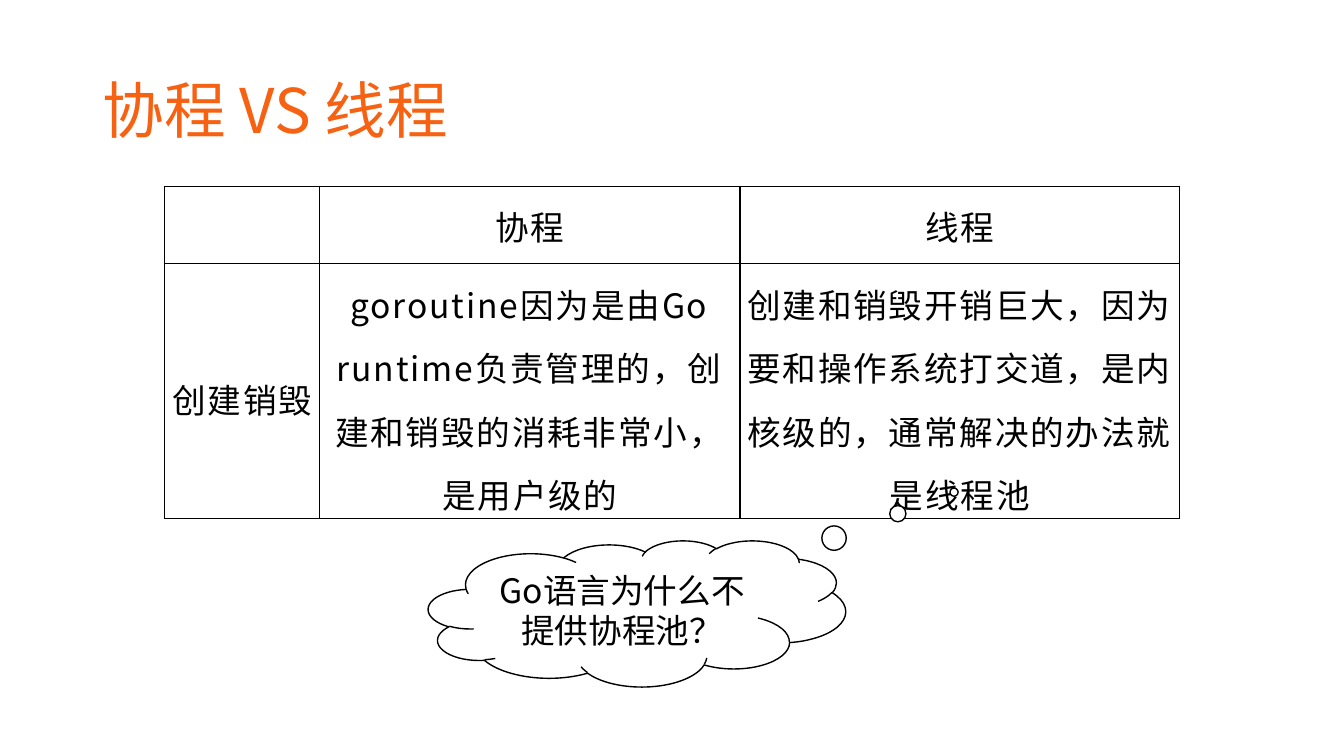
import pptx
import pptx.dml.color
import pptx.enum.shapes
import pptx.enum.text
import pptx.oxml.ns
import pptx.util
import lxml.etree

Pt = pptx.util.Pt
RGB = pptx.dml.color.RGBColor
ALIGN = pptx.enum.text.PP_ALIGN
MIDDLE = pptx.enum.text.MSO_ANCHOR.MIDDLE


class Theme:
    face = "Noto Sans CJK SC"
    accent = RGB.from_string("F76212")
    ink = RGB.from_string("000000")
    paper = RGB.from_string("FFFFFF")
    head = 44
    body = 24
    track = 130
    rule = 1


def apply(target, values):
    for name, value in values.items():
        setattr(target, name, value)


def add(parent, tag, **attrs):
    return lxml.etree.SubElement(parent, pptx.oxml.ns.qn(tag), attrs)


class Page:
    def __init__(self, deck, theme):
        self.theme = theme
        self.slide = deck.slides.add_slide(deck.slide_layouts[5])
        fill = self.slide.background.fill
        fill.solid()
        fill.fore_color.rgb = theme.paper

    def label(self, frame, text, size, color, format, track=None):
        para = frame.paragraphs[0]
        apply(para, format)
        run = para.add_run()
        run.text = text
        apply(run.font, {"size": Pt(size), "name": self.theme.face})
        run.font.color.rgb = color
        props = run._r.get_or_add_rPr()
        add(props, "a:ea", typeface=self.theme.face)
        if track:
            props.set("spc", str(track))

    def title(self, text, box):
        shape = self.slide.shapes.title
        apply(shape, dict(zip(("left", "top", "width", "height"), map(Pt, box))))
        frame = shape.text_frame
        apply(frame, {"vertical_anchor": MIDDLE, "word_wrap": True,
                      "auto_size": pptx.enum.text.MSO_AUTO_SIZE.NONE})
        self.label(frame, text, self.theme.head, self.theme.accent,
                   {"alignment": ALIGN.LEFT, "line_spacing": 0.9})

    def border(self, cell):
        props = cell._tc.get_or_add_tcPr()
        for side in "LRTB":
            line = add(props, "a:ln" + side, w=str(Pt(self.theme.rule)))
            add(add(line, "a:solidFill"), "a:srgbClr", val=str(self.theme.ink))

    def table(self, texts, left, top, widths, heights):
        box = map(Pt, (left, top, sum(widths), sum(heights)))
        grid = self.slide.shapes.add_table(len(heights), len(widths), *box).table
        apply(grid, {"first_row": False, "horz_banding": False})
        for col, width in zip(grid.columns, widths):
            col.width = Pt(width)
        for row, height in zip(grid.rows, heights):
            row.height = Pt(height)
        inset = Pt(0.72)
        for r, row in enumerate(texts):
            for c, text in enumerate(row):
                cell = grid.cell(r, c)
                apply(cell, {"vertical_anchor": MIDDLE, "margin_left": inset,
                             "margin_right": inset, "margin_top": inset,
                             "margin_bottom": 0})
                self.border(cell)
                cell.fill.background()
                if text:
                    self.label(cell.text_frame, text, self.theme.body, self.theme.ink,
                               {"alignment": ALIGN.CENTER,
                                "line_spacing": 1.3 if r else 1.0},
                               self.theme.track)

    def cloud(self, text, box, tail):
        kind = pptx.enum.shapes.MSO_SHAPE.CLOUD_CALLOUT
        shape = self.slide.shapes.add_shape(kind, *map(Pt, box))
        for i, value in enumerate(tail):
            shape.adjustments[i] = value
        shape.shadow.inherit = False
        shape.fill.solid()
        shape.fill.fore_color.rgb = self.theme.paper
        shape.line.color.rgb = self.theme.ink
        shape.line.width = Pt(self.theme.rule)
        apply(shape.text_frame, {"vertical_anchor": MIDDLE, "word_wrap": True})
        self.label(shape.text_frame, text, self.theme.body, self.theme.ink,
                   {"alignment": ALIGN.CENTER})


def main():
    deck = pptx.Presentation()
    apply(deck, {"slide_width": Pt(960), "slide_height": Pt(540)})
    page = Page(deck, Theme)
    page.title("协程 VS 线程", (66, 28.8, 828, 104.4))
    page.table(
        [["", "协程", "线程"],
         ["创建销毁",
          "goroutine因为是由Go runtime负责管理的，创建和销毁的消耗非常小，是用户级的",
          "创建和销毁开销巨大，因为要和操作系统打交道，是内核级的，通常解决的办法就是线程池"]],
        117.5, 133, (110.9, 300.2, 313.9), (55.5, 166.5))
    page.cloud("Go语言为什么不提供协程池？", (306, 386, 298, 104.4), (0.76, -0.83))
    deck.save("out.pptx")


if __name__ == "__main__":
    main()
